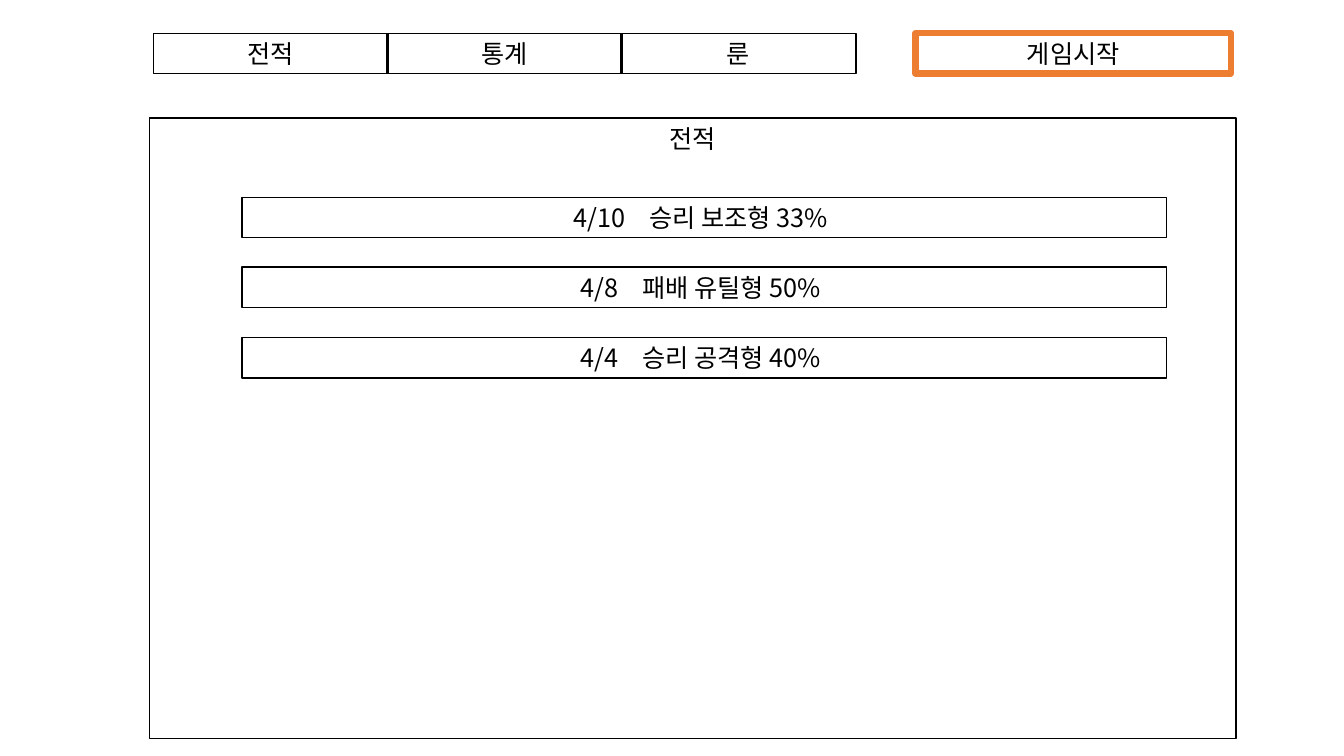
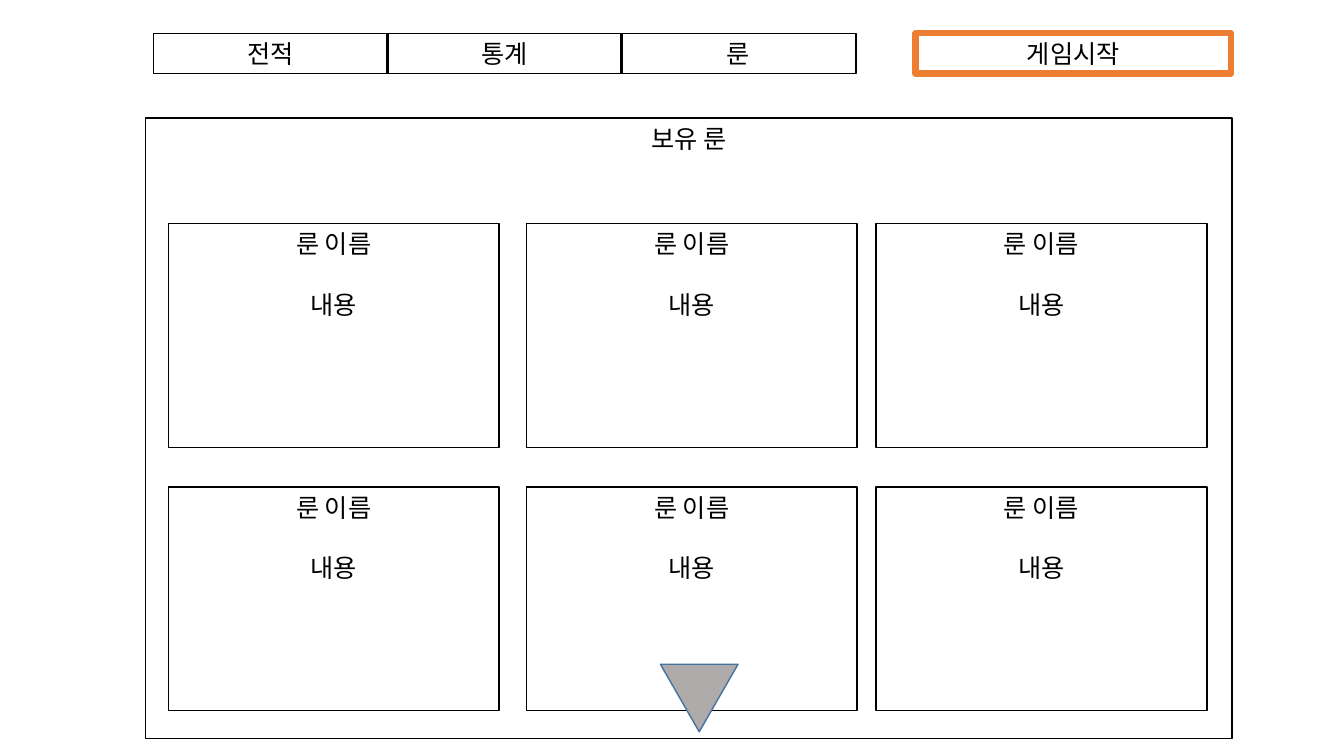
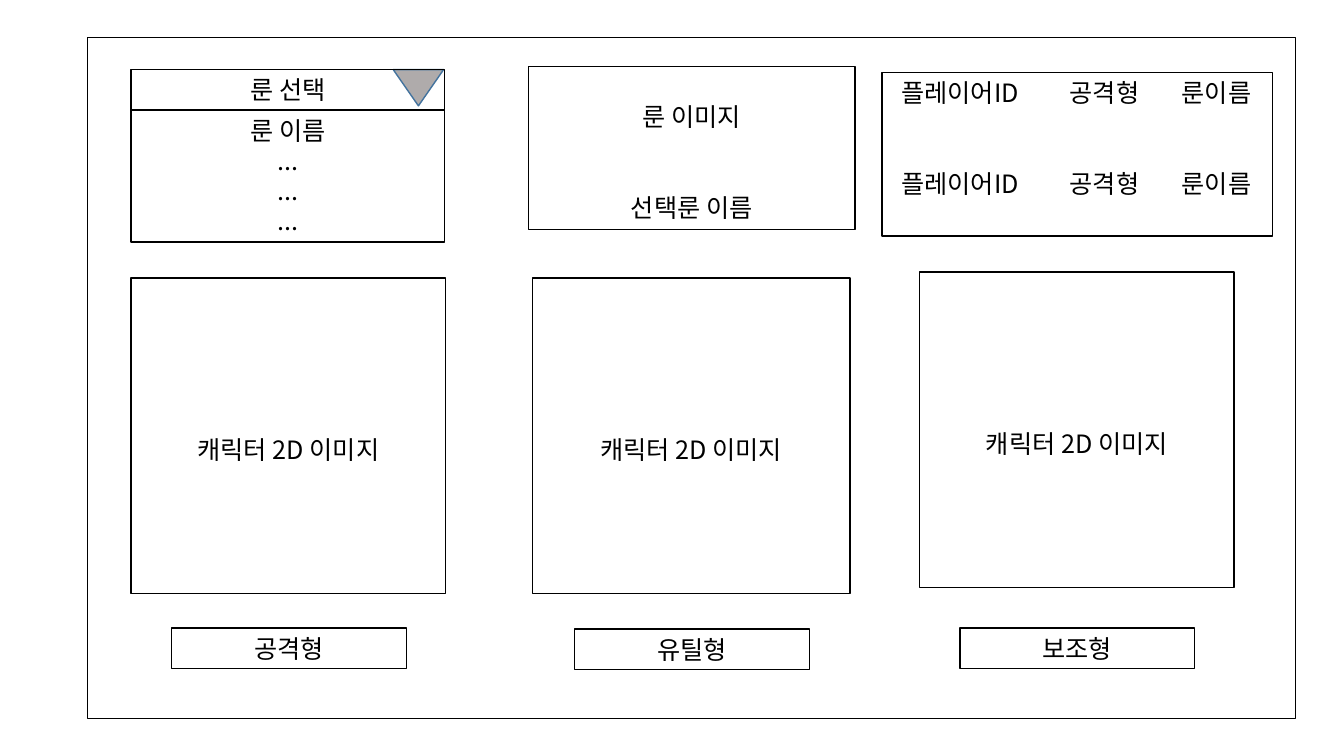
"""Build three wireframe slides for a game client: records, runes and champion selection."""
import dataclasses
import itertools
import typing

import lxml.etree
import pptx
import pptx.dml.color
import pptx.enum.shapes
import pptx.enum.text
import pptx.oxml.ns
import pptx.util

Inches = pptx.util.Inches
Pt = pptx.util.Pt
RGBColor = pptx.dml.color.RGBColor
Align = pptx.enum.text.PP_ALIGN
Preset = pptx.enum.shapes.MSO_SHAPE


@dataclasses.dataclass(frozen=True)
class Theme:
    font: str = "Noto Sans CJK KR"
    text_size: float = 18
    line_pitch: float = 21.6
    thin: float = 1
    thick: float = 4.5
    ink: RGBColor = RGBColor(0x00, 0x00, 0x00)
    accent: RGBColor = RGBColor(0xED, 0x7D, 0x31)
    arrow_fill: RGBColor = RGBColor(0xAF, 0xAB, 0xAB)
    arrow_line: RGBColor = RGBColor(0x43, 0x73, 0x9E)


THEME = Theme()
BAR_HEIGHT = 0.4
LABEL_WIDTH = 2.33


@dataclasses.dataclass(frozen=True)
class Line:
    text: str
    blank_lines_before: int = 0


@dataclasses.dataclass(frozen=True)
class Box:
    left: float
    top: float
    width: float
    height: float
    lines: tuple[Line, ...] = ()
    blank_lines_above: int = 0
    indent: float = 0.1
    tabs: tuple[float, ...] = ()
    color: RGBColor = THEME.ink
    weight: float = THEME.thin


class Record(typing.NamedTuple):
    top: float
    date: str
    result: str
    indent: float
    tab: float


class Champion(typing.NamedTuple):
    left: float
    top: float
    width: float
    role: str
    role_left: float
    role_top: float


def apply_format(target: typing.Any, values: dict[str, typing.Any]) -> None:
    for name, value in values.items():
        setattr(target, name, value)


def add_tab_stops(para: typing.Any, stops: tuple[float, ...]) -> None:
    qn = pptx.oxml.ns.qn
    tab_list = lxml.etree.SubElement(para._p.get_or_add_pPr(), qn("a:tabLst"))
    for stop in stops:
        tab = lxml.etree.SubElement(tab_list, qn("a:tab"))
        tab.set("pos", str(Inches(stop)))
        tab.set("algn", "l")


def add_line(para: typing.Any, line: Line, tabs: tuple[float, ...]) -> None:
    apply_format(para, {
        "alignment": Align.LEFT if tabs else Align.CENTER,
        "line_spacing": Pt(THEME.line_pitch),
        "space_before": Pt(line.blank_lines_before * THEME.line_pitch),
    })
    if tabs:
        add_tab_stops(para, tabs)
    span = para.add_run()
    span.text = line.text
    apply_format(span.font, {"name": THEME.font, "size": Pt(THEME.text_size)})
    span.font.color.rgb = THEME.ink
    east_asian = lxml.etree.SubElement(span._r.get_or_add_rPr(), pptx.oxml.ns.qn("a:ea"))
    east_asian.set("typeface", THEME.font)


def draw_box(shapes: typing.Any, box: Box) -> None:
    frame = shapes.add_shape(Preset.RECTANGLE, Inches(box.left), Inches(box.top),
                             Inches(box.width), Inches(box.height))
    frame.shadow.inherit = False
    frame.fill.background()
    frame.line.color.rgb = box.color
    frame.line.width = Pt(box.weight)
    apply_format(frame.text_frame, {
        "word_wrap": True,
        "vertical_anchor": pptx.enum.text.MSO_ANCHOR.TOP,
        "margin_left": Inches(box.indent),
        "margin_top": Inches(0.05) + Pt(box.blank_lines_above * THEME.line_pitch),
    })
    for index, line in enumerate(box.lines):
        text = frame.text_frame
        para = text.add_paragraph() if index else text.paragraphs[0]
        add_line(para, line, box.tabs)


def draw_arrow(shapes: typing.Any, left: float, top: float, width: float, height: float) -> None:
    arrow = shapes.add_shape(Preset.ISOSCELES_TRIANGLE, Inches(left), Inches(top),
                             Inches(width), Inches(height))
    apply_format(arrow, {"rotation": 180})
    arrow.shadow.inherit = False
    arrow.fill.solid()
    arrow.fill.fore_color.rgb = THEME.arrow_fill
    arrow.line.color.rgb = THEME.arrow_line
    arrow.line.width = Pt(THEME.thin)


def draw_menu(shapes: typing.Any) -> None:
    draw_box(shapes, Box(9.08, 0.33, 3.13, BAR_HEIGHT, (Line("게임시작"),),
                         color=THEME.accent, weight=THEME.thick))
    for index, name in enumerate(("전적", "통계", "룬")):
        draw_box(shapes, Box(1.52 + 2.32 * index, 0.33, LABEL_WIDTH, BAR_HEIGHT, (Line(name),)))


def draw_panel(shapes: typing.Any, left: float, title: str) -> None:
    draw_box(shapes, Box(left, 1.17, 10.78, 6.16, (Line(title),)))


def draw_records(shapes: typing.Any) -> None:
    draw_menu(shapes)
    draw_panel(shapes, 1.48, "전적")
    records = (
        Record(1.96, "4/10", "승리 보조형 33%", 3.29, 0.75),
        Record(2.65, "4/8", "패배 유틸형 50%", 3.36, 0.61),
        Record(3.35, "4/4", "승리 공격형 40%", 3.36, 0.61),
    )
    for record in records:
        draw_box(shapes, Box(2.4, record.top, 9.17, BAR_HEIGHT,
                             (Line(f"{record.date}\t{record.result}"),),
                             indent=record.indent, tabs=(record.tab,)))


def draw_runes(shapes: typing.Any) -> None:
    draw_menu(shapes)
    draw_panel(shapes, 1.44, "보유 룬")
    card_lines = (Line("룬 이름"), Line("내용", 1))
    for top, left in itertools.product((2.22, 4.83), (1.67, 5.22, 8.69)):
        draw_box(shapes, Box(left, top, 3.28, 2.22, card_lines))
    draw_arrow(shapes, 6.55, 6.59, 0.77, 0.67)


def draw_selection(shapes: typing.Any) -> None:
    draw_box(shapes, Box(0.87, 0.37, 11.98, 6.76))
    draw_arrow(shapes, 3.9, 0.69, 0.5, 0.36)
    dropdown = shapes.add_group_shape().shapes
    draw_box(dropdown, Box(1.3, 0.69, 3.11, BAR_HEIGHT, (Line("룬 선택"),)))
    draw_box(dropdown, Box(1.3, 1.09, 3.11, 1.31, (Line("룬 이름"),) + (Line("..."),) * 3))
    draw_box(shapes, Box(5.24, 0.66, 3.24, 1.62, (Line("룬 이미지"), Line("선택룬 이름", 2)),
                         blank_lines_above=1))
    player = "플레이어ID\t공격형\t룬이름"
    draw_box(shapes, Box(8.75, 0.72, 3.87, 1.62, (Line(player), Line(player, 2)),
                         indent=0.19, tabs=(1.67, 2.78)))
    champions = (
        Champion(1.3, 2.76, 3.12, "공격형", 1.7, 6.23),
        Champion(5.28, 2.76, 3.15, "유틸형", 5.7, 6.24),
        Champion(9.12, 2.7, 3.12, "보조형", 9.52, 6.23),
    )
    for champion in champions:
        draw_box(shapes, Box(champion.left, champion.top, champion.width, 3.13,
                             (Line("캐릭터 2D 이미지"),), blank_lines_above=5))
        draw_box(shapes, Box(champion.role_left, champion.role_top, LABEL_WIDTH, BAR_HEIGHT,
                             (Line(champion.role),)))


def main() -> None:
    deck = pptx.Presentation()
    apply_format(deck, {"slide_width": Inches(13.33), "slide_height": Inches(7.5)})
    for draw_page in (draw_records, draw_runes, draw_selection):
        page = deck.slides.add_slide(deck.slide_layouts[6])
        draw_page(page.shapes)
    deck.save("out.pptx")


if __name__ == "__main__":
    main()
